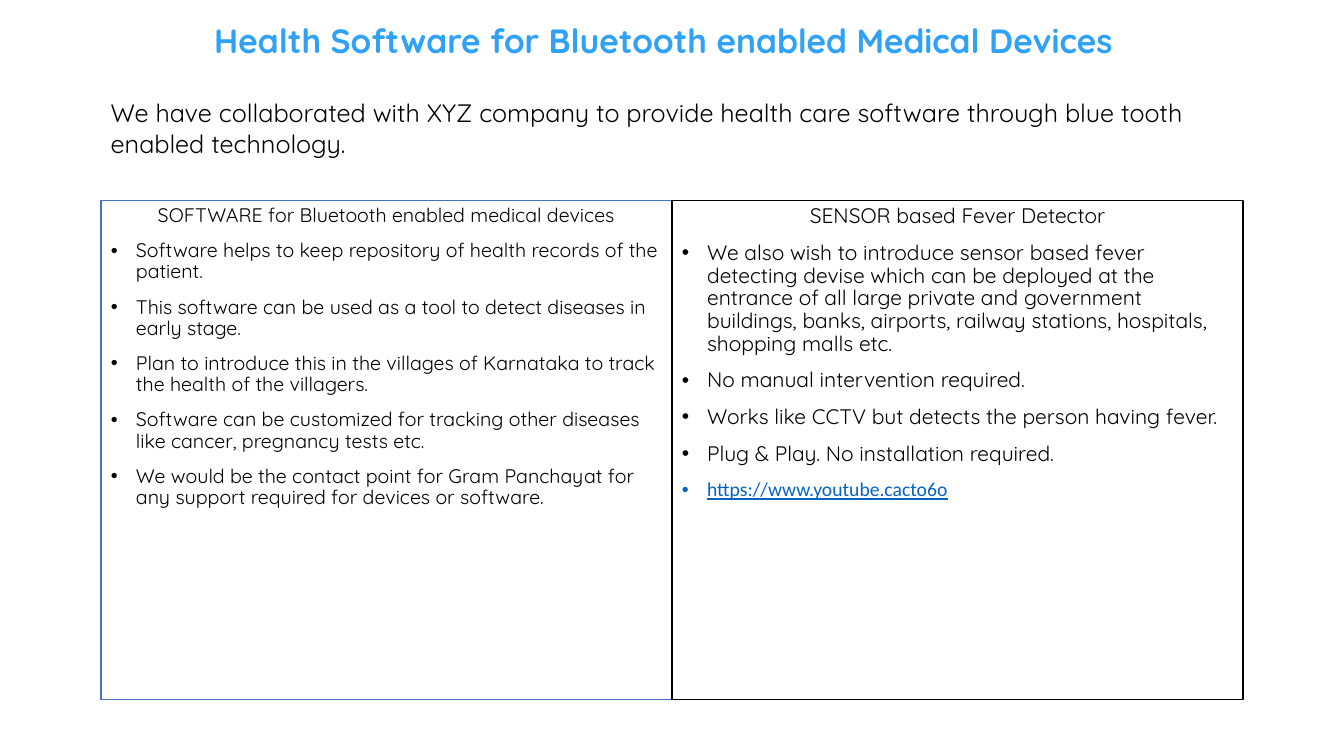
from lxml.etree import SubElement
from pptx import Presentation
from pptx.dml.color import RGBColor
from pptx.enum.shapes import MSO_SHAPE as Shape
from pptx.enum.text import MSO_ANCHOR as Anchor, PP_ALIGN as Align
from pptx.oxml.ns import qn
from pptx.util import Inches, Pt

WIDE, HIGH = 13.33, 7.5
FONT = "Quicksand"
BLACK, WHITE, SKY, LINK = "000000", "FFFFFF", "2FA2F8", "0563C1"

TITLE = "Health Software for Bluetooth enabled Medical Devices"
INTRO = ("We have collaborated with XYZ company to provide health care "
         "software through blue tooth enabled technology.")
PANELS = [
    {"head": "SOFTWARE for Bluetooth enabled medical devices",
     "size": 14, "edge": "4472C4", "link": None,
     "items": [
         "Software helps to keep repository of health records of the patient.",
         "This software can be used as a tool to detect diseases in early stage.",
         "Plan to introduce this in the villages of Karnataka to track the "
         "health of the villagers.",
         "Software can be customized for tracking other diseases like cancer, "
         "pregnancy tests etc.",
         "We would be the contact point for Gram Panchayat for any support "
         "required for devices or software."]},
    {"head": "SENSOR based Fever Detector",
     "size": 15, "edge": BLACK, "link": "https://www.youtube.cacto6o",
     "items": [
         "We also wish to introduce sensor based fever detecting devise which "
         "can be deployed at the entrance of all large private and government "
         "buildings, banks, airports, railway stations, hospitals, shopping "
         "malls etc.",
         "No manual intervention required.",
         "Works like CCTV but detects the person having fever.",
         "Plug & Play. No installation required."]},
]

LEFT = 1
SPAN = WIDE - 2 * LEFT
COL = SPAN / len(PANELS)
TOP, TALL = 1.99, 0.66 * HIGH


def color(code):
    return RGBColor.from_string(code)


def place(*box):
    return [Inches(n) for n in box]


def write(para, text, size, tint=BLACK, face=FONT):
    run = para.add_run()
    run.text = text
    run.font.size = Pt(size)
    run.font.name = face
    run.font.color.rgb = color(tint)
    return run


def add_box(slide, *box):
    frame = slide.shapes.add_textbox(*place(*box)).text_frame
    frame.word_wrap = True
    return frame


def add_point(frame):
    """Append an empty bulleted paragraph with a hanging indent."""
    para = frame.add_paragraph()
    para.alignment = Align.LEFT
    para.line_spacing = 0.9
    para.space_before = Pt(10)
    props = para._p.get_or_add_pPr()
    props.set("marL", str(Inches(0.25)))
    props.set("indent", str(Inches(-0.25)))
    SubElement(props, qn("a:buFont")).set("typeface", "Arial")
    SubElement(props, qn("a:buChar")).set("char", "•")
    return para


def add_panel(slide, left, panel):
    box = slide.shapes.add_shape(Shape.RECTANGLE, *place(left, TOP, COL, TALL))
    box.shadow.inherit = False
    box.fill.solid()
    box.fill.fore_color.rgb = color(WHITE)
    box.line.color.rgb = color(panel["edge"])
    box.line.width = Pt(1)
    frame = box.text_frame
    frame.word_wrap = True
    frame.vertical_anchor = Anchor.TOP
    head = frame.paragraphs[0]
    head.alignment = Align.CENTER
    head.line_spacing = 0.9
    write(head, panel["head"], panel["size"])
    for item in panel["items"]:
        write(add_point(frame), item, panel["size"])
    if panel["link"]:
        run = write(add_point(frame), panel["link"], 14, LINK, "Calibri")
        run.font.underline = True


def main():
    deck = Presentation()
    deck.slide_width, deck.slide_height = place(WIDE, HIGH)
    slide = deck.slides.add_slide(deck.slide_layouts[6])

    frame = add_box(slide, 0.83, 0.1, 11.5, 0.65)
    frame.vertical_anchor = Anchor.MIDDLE
    title = frame.paragraphs[0]
    title.alignment = Align.CENTER
    title.line_spacing = 0.9
    write(title, TITLE, 24, SKY).font.bold = True

    for i, panel in enumerate(PANELS):
        add_panel(slide, LEFT + i * COL, panel)

    intro = add_box(slide, LEFT, 0.92, SPAN, 0.71)
    write(intro.paragraphs[0], INTRO, 18)
    deck.save("out.pptx")


if __name__ == "__main__":
    main()
